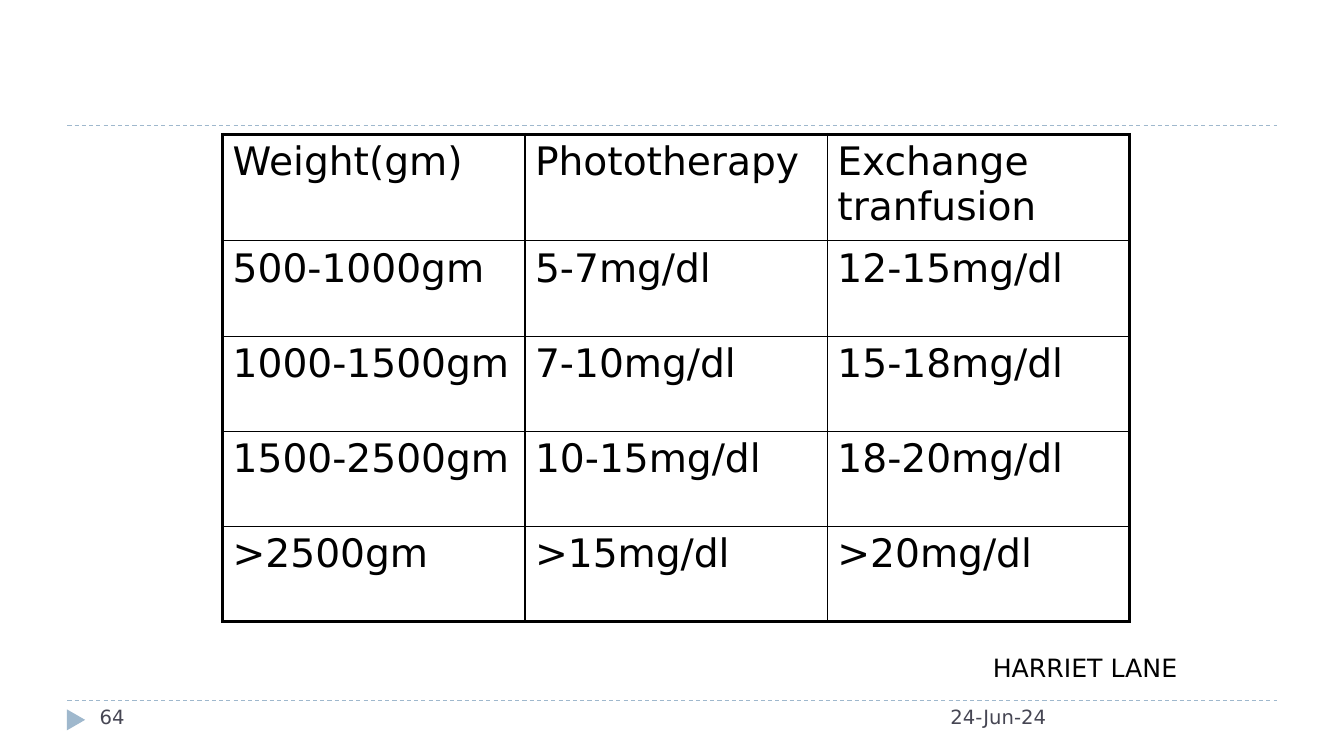
"""Builds a slide with a table of treatment thresholds by birth weight."""
from dataclasses import dataclass

from lxml import etree
from pptx import Presentation
from pptx.dml.color import RGBColor
from pptx.enum.dml import MSO_LINE
from pptx.enum.shapes import MSO_CONNECTOR, MSO_SHAPE
from pptx.oxml.ns import qn
from pptx.slide import Slide
from pptx.table import _Cell
from pptx.text.text import TextFrame
from pptx.util import Cm, Pt

BLACK = RGBColor(0x00, 0x00, 0x00)
SLATE = RGBColor(0x46, 0x46, 0x53)
BLUE = RGBColor(0x9F, 0xB8, 0xCD)
FONT = "DejaVu Sans"
DASH = MSO_LINE.DASH
STRAIGHT = MSO_CONNECTOR.STRAIGHT
TRIANGLE = MSO_SHAPE.ISOSCELES_TRIANGLE
THICK, THIN = Pt(2.25), Pt(1)
BLANK_LAYOUT = 6

ROWS = [
    ("Weight(gm)", "Phototherapy", "Exchange tranfusion"),
    ("500-1000gm", "5-7mg/dl", "12-15mg/dl"),
    ("1000-1500gm", "7-10mg/dl", "15-18mg/dl"),
    ("1500-2500gm", "10-15mg/dl", "18-20mg/dl"),
    (">2500gm", ">15mg/dl", ">20mg/dl"),
]
COLUMN_WIDTH = 7.62
HEADER_HEIGHT, ROW_HEIGHT = 2.69, 2.4


@dataclass
class Label:
    text: str
    left: float
    top: float
    width: float
    size: float
    color: RGBColor


LABELS = [
    Label("HARRIET LANE", 24.77, 16.31, 7.42, 18, BLACK),
    Label("24-Jun-24", 23.7, 17.65, 8.48, 14, SLATE),
    Label("64", 2.26, 17.65, 7.34, 14, SLATE),
]
RULE_TOPS = (17.65, 3.17)


def write(tf: TextFrame, text: str, *, size: float, color: RGBColor) -> None:
    """Put one formatted run of text into a frame."""
    tf.word_wrap = True
    r = tf.paragraphs[0].add_run()
    r.text = text
    r.font.name = FONT
    r.font.size = Pt(size)
    r.font.color.rgb = color


def add_label(s: Slide, label: Label) -> None:
    """Add a text box for a label."""
    box = s.shapes.add_textbox(Cm(label.left), Cm(label.top), Cm(label.width), Cm(1.02))
    write(box.text_frame, label.text, size=label.size, color=label.color)


def add_rule(s: Slide, top: float) -> None:
    """Add a dashed horizontal rule."""
    rule = s.shapes.add_connector(STRAIGHT, Cm(1.7), Cm(top), Cm(32.18), Cm(top))
    rule.line.color.rgb = BLUE
    rule.line.width = Pt(0.75)
    rule.line.dash_style = DASH
    etree.SubElement(rule._element.spPr, qn("a:effectLst"))


def add_marker(s: Slide) -> None:
    """Add the page marker triangle, pointing right."""
    marker = s.shapes.add_shape(TRIANGLE, Cm(1.65), Cm(17.91), Cm(0.53), Cm(0.46))
    marker.rotation = 90
    marker.shadow.inherit = False
    marker.fill.solid()
    marker.fill.fore_color.rgb = BLUE
    marker.line.fill.background()


def set_borders(cell: _Cell, outer: dict[str, bool]) -> None:
    """Draw cell borders, thick on the outer sides."""
    tc_pr = cell._tc.get_or_add_tcPr()
    for side, is_outer in outer.items():
        ln = etree.SubElement(tc_pr, qn(f"a:ln{side}"), w=str(THICK if is_outer else THIN))
        fill = etree.SubElement(ln, qn("a:solidFill"))
        etree.SubElement(fill, qn("a:srgbClr"), val=str(BLACK))


def add_threshold_table(s: Slide) -> None:
    """Add the table of thresholds."""
    n_rows, n_cols = len(ROWS), len(ROWS[0])
    height = HEADER_HEIGHT + ROW_HEIGHT * (n_rows - 1)
    table = s.shapes.add_table(
        n_rows, n_cols, Cm(5.61), Cm(3.38), Cm(COLUMN_WIDTH * n_cols), Cm(height)
    ).table
    table.first_row = table.horz_banding = False
    for column in table.columns:
        column.width = Cm(COLUMN_WIDTH)
    for i, values in enumerate(ROWS):
        table.rows[i].height = Cm(ROW_HEIGHT if i else HEADER_HEIGHT)
        for j, text in enumerate(values):
            cell = table.cell(i, j)
            set_borders(cell, {"L": j == 0, "R": j == n_cols - 1,
                               "T": i == 0, "B": i == n_rows - 1})
            cell.fill.background()
            write(cell.text_frame, text, size=28, color=BLACK)


def main() -> None:
    """Build and save the slide."""
    prs = Presentation()
    prs.slide_width, prs.slide_height = Cm(33.87), Cm(19.05)
    s = prs.slides.add_slide(prs.slide_layouts[BLANK_LAYOUT])
    for top in RULE_TOPS:
        add_rule(s, top)
    add_marker(s)
    add_threshold_table(s)
    for label in LABELS:
        add_label(s, label)
    prs.save("out.pptx")


if __name__ == "__main__":
    main()
